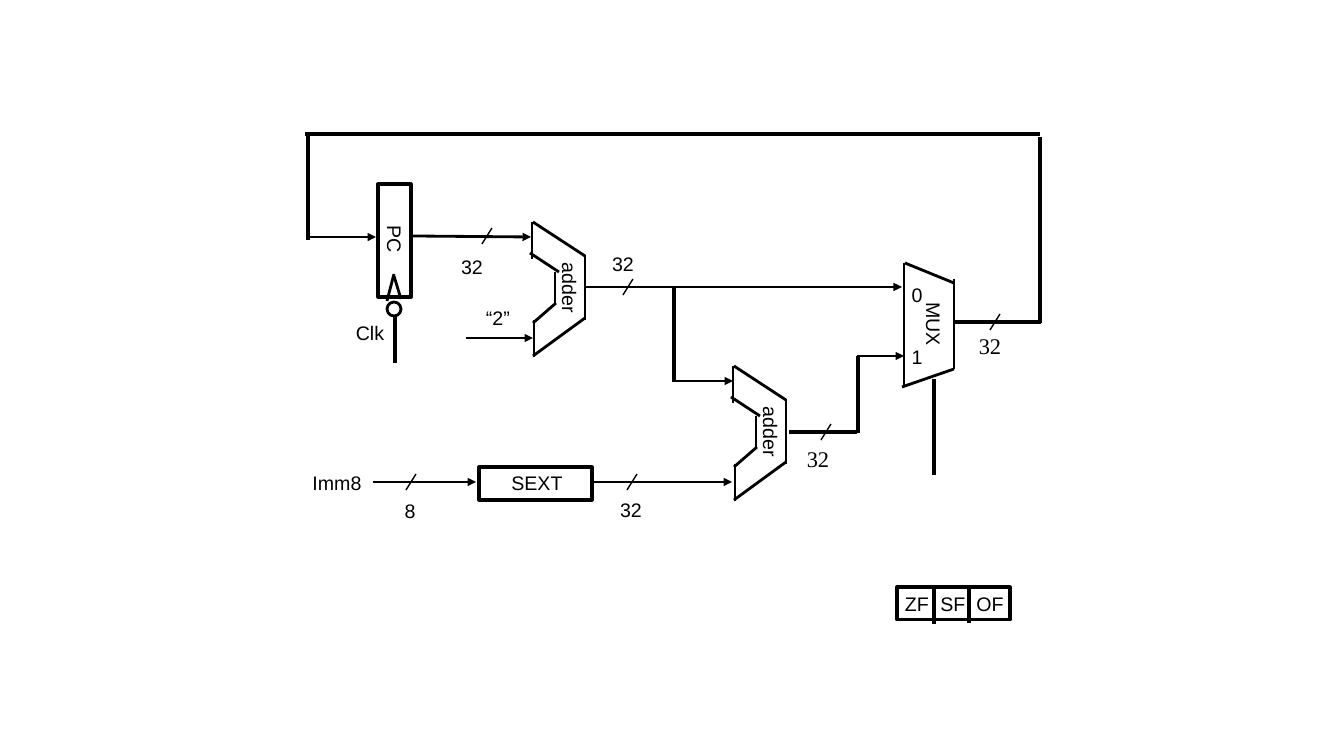
from pptx import Presentation
from pptx.dml.color import RGBColor
from pptx.enum.shapes import MSO_CONNECTOR, MSO_SHAPE
from pptx.enum.text import MSO_ANCHOR, PP_ALIGN
from pptx.oxml.ns import qn
from pptx.util import Pt
from lxml.etree import SubElement

PX = 914400 / 100.8
BLACK = RGBColor.from_string("000000")

presentation = Presentation()
presentation.slide_width = round(1344 * PX)
presentation.slide_height = round(756 * PX)
slide = presentation.slides.add_slide(presentation.slide_layouts[6])


def add_line(points, weight, arrow=False):
    """Draw a line through (x1, y1, x2, y2), with the arrowhead at the end."""
    line = slide.shapes.add_connector(
        MSO_CONNECTOR.STRAIGHT, *[round(value * PX) for value in points])
    line.line.color.rgb = BLACK
    line.line.width = Pt(weight)
    if arrow:
        SubElement(line.line._get_or_add_ln(), qn("a:tailEnd"), type="triangle")
    SubElement(line._element.spPr, qn("a:effectLst"))


def add_label(text, center_x, center_y, rotation=0, font="Arial", size=14):
    width, height = 72, 34
    box = slide.shapes.add_textbox(
        round((center_x - width / 2) * PX), round((center_y - height / 2) * PX),
        round(width * PX), round(height * PX))
    box.rotation = rotation
    box.text_frame.word_wrap = False
    box.text_frame.vertical_anchor = MSO_ANCHOR.MIDDLE
    paragraph = box.text_frame.paragraphs[0]
    paragraph.alignment = PP_ALIGN.CENTER
    run = paragraph.add_run()
    run.text = text
    run.font.name = font
    run.font.size = Pt(size)
    run.font.color.rgb = BLACK


# Registers, sign extender, flags and the clock bubble
blocks = [
    (MSO_SHAPE.RECTANGLE, 378, 184, 33, 113, 2.25),
    (MSO_SHAPE.RECTANGLE, 479, 467, 113, 33, 2.25),
    (MSO_SHAPE.RECTANGLE, 897, 587, 113, 33, 2.25),
    (MSO_SHAPE.OVAL, 387, 302, 14, 14, 2),
]
for kind, left, top, width, height, weight in blocks:
    shape = slide.shapes.add_shape(
        kind, *[round(value * PX) for value in (left, top, width, height)])
    shape.shadow.inherit = False
    shape.fill.background()
    shape.line.color.rgb = BLACK
    shape.line.width = Pt(weight)

# Both adders share one outline
adder_outline = [
    (0, 0, 0, 37), (1, 0, 53, 34), (-2, 31, 27, 50), (23, 50, 23, 81),
    (53, 33, 53, 98), (1, 101, 24, 81), (1, 134, 53, 96), (2, 98, 2, 135),
]
for left, top in [(532, 222), (733, 366)]:
    for x1, y1, x2, y2 in adder_outline:
        add_line((left + x1, top + y1, left + x2, top + y2), 2)
    add_label("adder", left + 38, top + 66, 90)

multiplexer_outline = [
    (904, 263, 904, 386), (905, 263, 954, 283),
    (902, 387, 954, 369), (954, 279, 954, 369),
]
clock_notch = [(387, 301, 394, 274), (394, 276, 401, 299)]
for points in multiplexer_outline + clock_notch:
    add_line(points, 2)

arrows = [
    (310, 237, 376, 237), (412, 236, 531, 237), (466, 338, 533, 338),
    (585, 287, 902, 287), (673, 381, 733, 381), (857, 356, 904, 356),
    (373, 482, 476, 482), (594, 482, 732, 482),
]
for points in arrows:
    add_line(points, 2, arrow=True)

wires = [
    (395, 315, 395, 363), (674, 287, 674, 382), (789, 432, 857, 432),
    (858, 433, 858, 356), (954, 322, 1041, 322), (1040, 323, 1040, 137),
    (1040, 134, 305, 134), (308, 132, 308, 240), (934, 379, 934, 475),
]
flag_dividers = [(934, 587, 934, 624), (969, 587, 969, 623)]
for points in wires + flag_dividers:
    add_line(points, 2.25)

# Bus width slashes
for x, y in [(487, 236), (628, 287), (826, 432), (995, 322), (411, 482), (632, 482)]:
    add_line((x + 5, y - 8, x - 5, y + 8), 1)

labels = [
    ("Clk", 370, 333), ("“2”", 498, 318), ("32", 472, 267), ("32", 623, 264),
    ("0", 917, 295), ("1", 917, 357), ("Imm8", 337, 483), ("8", 410, 511),
    ("SEXT", 537, 483), ("32", 631, 510),
    ("ZF", 917, 604), ("SF", 953, 604), ("OF", 990, 604),
]
for text, x, y in labels:
    add_label(text, x, y)
for text, x, y in [("PC", 395, 239), ("MUX", 934, 324)]:
    add_label(text, x, y, 90)
for x, y in [(818, 459), (990, 346)]:
    add_label("32", x, y, font="Times New Roman", size=16)

presentation.save("out.pptx")
